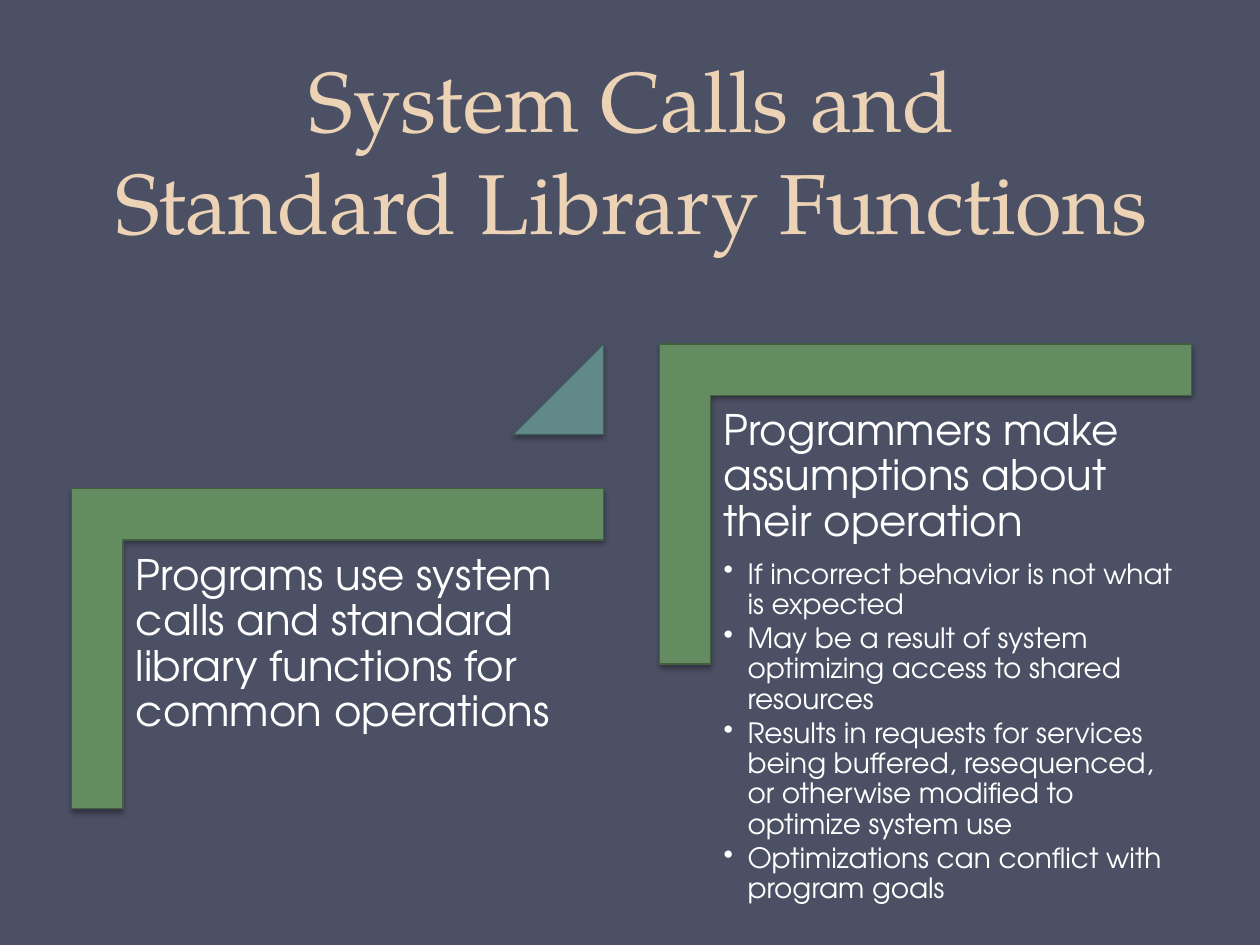
from lxml import etree
from pptx import Presentation
from pptx.dml.color import RGBColor
from pptx.enum import shapes, text
from pptx.oxml import ns
from pptx.util import Cm, Pt

# Content
TITLE = "System Calls and\vStandard Library Functions"
STEPS = [
    ("Programs use system calls and standard library functions for common operations", []),
    ("Programmers make assumptions about their operation", [
        "If incorrect behavior is not what is expected",
        "May be a result of system optimizing access to shared resources",
        "Results in requests for services being buffered, resequenced, "
        "or otherwise modified to optimize system use",
        "Optimizations can conflict with program goals",
    ]),
]

# Style
BACKGROUND = RGBColor(0x4B, 0x50, 0x64)
SAND = RGBColor(0xED, 0xD3, 0xB6)
WHITE = RGBColor(0xFF, 0xFF, 0xFF)
GREEN, DARK_GREEN = RGBColor(0x64, 0x8C, 0x61), RGBColor(0x43, 0x5E, 0x40)
TEAL, DARK_TEAL = RGBColor(0x61, 0x89, 0x8A), RGBColor(0x41, 0x5B, 0x5C)
TITLE_FONT, BODY_FONT = "TeX Gyre Pagella", "TeX Gyre Adventor"

# Each step sits to the right of and above the one before (cm)
STEP_RIGHT, STEP_UP = 11.85, 2.92
CORNER = (3.58, 7.72, 6.45, 10.72)
TEXT_BOX = (2.49, 10.92, 9.68, 8.48)
TRIANGLE = (10.34, 6.93, 1.83, 1.83)


def place(box, index):
    left, top, width, height = box
    return (Cm(left + index * STEP_RIGHT), Cm(top - index * STEP_UP),
            Cm(width), Cm(height))


def add_accent(slide, kind, bounds, fill, line, adjustments):
    shape = slide.shapes.add_shape(kind, *bounds)
    for number, value in enumerate(adjustments):
        shape.adjustments[number] = value
    shape.fill.solid()
    shape.fill.fore_color.rgb = fill
    shape.line.color.rgb = line
    shape.line.width = Pt(0.75)
    # Soft shadow straight below
    shape.shadow.inherit = False
    effects = shape._element.spPr.find(ns.qn("a:effectLst"))
    shadow = etree.SubElement(effects, ns.qn("a:outerShdw"), blurRad="40000",
                              dist="23000", dir="5400000", rotWithShape="0")
    color = etree.SubElement(shadow, ns.qn("a:srgbClr"), val="000000")
    etree.SubElement(color, ns.qn("a:alpha"), val="35000")
    return shape


def format_body(paragraph, size, space_after):
    paragraph.line_spacing = 0.9
    paragraph.space_after = Pt(space_after)
    paragraph.font.size = Pt(size)
    paragraph.font.name = BODY_FONT
    paragraph.font.color.rgb = WHITE


def add_bullet(paragraph):
    properties = paragraph._p.get_or_add_pPr()
    properties.set("marL", str(Cm(0.48)))
    properties.set("indent", str(-Cm(0.48)))
    etree.SubElement(properties, ns.qn("a:buChar"), char="•")


def add_step_text(slide, bounds, heading, bullets):
    frame = slide.shapes.add_textbox(*bounds).text_frame
    frame.word_wrap = True
    frame.margin_left = frame.margin_right = Cm(0.25)
    frame.margin_top = frame.margin_bottom = Cm(0.25)
    frame.text = heading
    format_body(frame.paragraphs[0], 24, 8.4)
    for bullet in bullets:
        paragraph = frame.add_paragraph()
        paragraph.text = bullet
        paragraph.level = 1
        add_bullet(paragraph)
        format_body(paragraph, 16, 2.4)


def main():
    presentation = Presentation()
    presentation.slide_width, presentation.slide_height = Cm(25.4), Cm(19.05)
    slide = presentation.slides.add_slide(presentation.slide_layouts[5])
    slide.background.fill.solid()
    slide.background.fill.fore_color.rgb = BACKGROUND

    # Title
    title = slide.shapes.title
    title.left, title.top, title.width, title.height = place((1.3, 0.74, 22.86, 4.45), 0)
    frame = title.text_frame
    frame.text = TITLE
    frame.word_wrap = True
    frame.auto_size = text.MSO_AUTO_SIZE.NONE
    frame.vertical_anchor = text.MSO_ANCHOR.BOTTOM
    paragraph = frame.paragraphs[0]
    paragraph.alignment = text.PP_ALIGN.CENTER
    paragraph.line_spacing = Pt(58)
    paragraph.font.size = Pt(48.6)
    paragraph.font.name = TITLE_FONT
    paragraph.font.color.rgb = SAND

    # Steps, with a triangle pointing up from each to the next
    for index, (heading, bullets) in enumerate(STEPS):
        corner = add_accent(slide, shapes.MSO_SHAPE.CORNER, place(CORNER, index),
                            GREEN, DARK_GREEN, (0.16, 0.16))
        corner.rotation = 90
        add_step_text(slide, place(TEXT_BOX, index), heading, bullets)
        if index < len(STEPS) - 1:
            add_accent(slide, shapes.MSO_SHAPE.ISOSCELES_TRIANGLE,
                       place(TRIANGLE, index), TEAL, DARK_TEAL, (1,))

    presentation.save("out.pptx")


if __name__ == "__main__":
    main()
